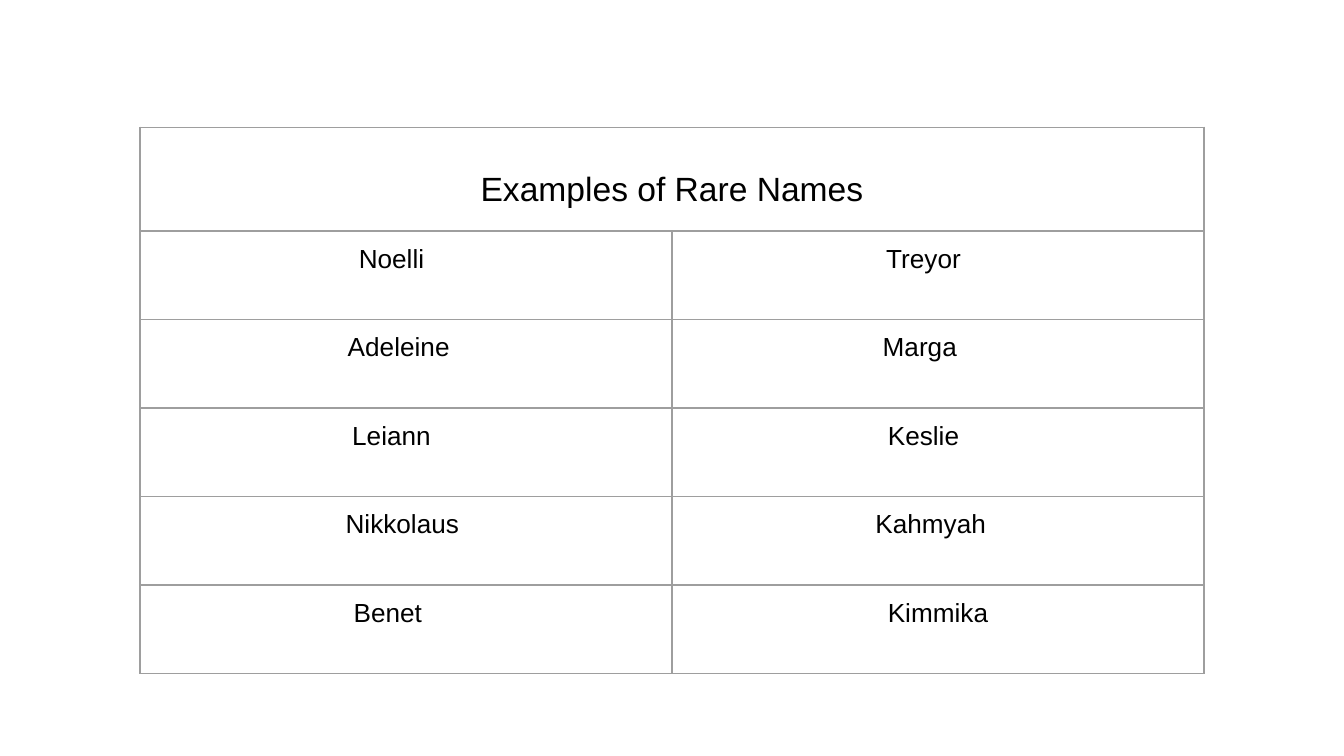
"""Build a slide with a bordered table of rare names."""
from lxml import etree
from pptx import Presentation
from pptx.dml.color import RGBColor
from pptx.enum.text import MSO_ANCHOR, PP_ALIGN
from pptx.oxml.ns import qn
from pptx.util import Pt

CENTER = PP_ALIGN.CENTER
TOP = MSO_ANCHOR.TOP
BLACK = RGBColor(0x00, 0x00, 0x00)
GRAY = RGBColor(0x9E, 0x9E, 0x9E)
INSET = 7.2
HEADING_TOP = 23.3
SPACE_WIDTH = 3.89

HEADING = "Examples of Rare Names"
NAME_ROWS = [
    (("Noelli", 4), ("Treyor", 4)),
    (("Adeleine", 2), ("Marga", 5)),
    (("Leiann", 4), ("Keslie", 4)),
    (("Nikkolaus", 1), ("Kahmyah", 2)),
    (("Benet", 5), ("Kimmika", 0)),
]


class SlideBuilder:
    """Hold the style and the current slide."""

    def __init__(self, slide):
        self.slide = slide
        self.font_name = "Arial"
        self.border_width = Pt(0.75)

    def add_table(self, left, top, column_widths, row_heights):
        shape = self.slide.shapes.add_table(
            len(row_heights), len(column_widths), Pt(left), Pt(top),
            Pt(sum(column_widths)), Pt(sum(row_heights)))
        table = shape.table
        table.first_row = table.horz_banding = False
        for column, width in zip(table.columns, column_widths):
            column.width = Pt(width)
        for row, height in zip(table.rows, row_heights):
            row.height = Pt(height)
        for cell in table.iter_cells():
            self.add_borders(cell)
            cell.fill.background()
        return table

    def add_borders(self, cell):
        properties = cell._tc.get_or_add_tcPr()
        for side in ("a:lnL", "a:lnR", "a:lnT", "a:lnB"):
            line = etree.SubElement(properties, qn(side), w=str(self.border_width))
            fill = etree.SubElement(line, qn("a:solidFill"))
            etree.SubElement(fill, qn("a:srgbClr"), val=str(GRAY))

    def fill_cell(self, cell, text, size, top=INSET, right=INSET):
        cell_format = {
            "margin_left": Pt(INSET), "margin_right": Pt(right),
            "margin_top": Pt(top), "margin_bottom": Pt(INSET),
            "vertical_anchor": TOP, "text": text,
        }
        for name, value in cell_format.items():
            setattr(cell, name, value)
        paragraph = cell.text_frame.paragraphs[0]
        paragraph.alignment = CENTER
        font = paragraph.runs[0].font
        for name, value in {"name": self.font_name, "size": Pt(size), "bold": False}.items():
            setattr(font, name, value)
        font.color.rgb = BLACK


def main():
    presentation = Presentation()
    presentation.slide_width, presentation.slide_height = Pt(720), Pt(405)
    slide = presentation.slides.add_slide(presentation.slide_layouts[6])
    builder = SlideBuilder(slide)

    table = builder.add_table(75, 68.2, [285] * 2, [55.6] + [47.4] * len(NAME_ROWS))
    heading = table.cell(0, 0)
    heading.merge(table.cell(0, 1))
    builder.fill_cell(heading, HEADING, 18, top=HEADING_TOP)
    for row, names in enumerate(NAME_ROWS, start=1):
        for column, (name, spaces) in enumerate(names):
            builder.fill_cell(table.cell(row, column), name, 14,
                              right=INSET + spaces * SPACE_WIDTH)

    presentation.save("out.pptx")


if __name__ == "__main__":
    main()
